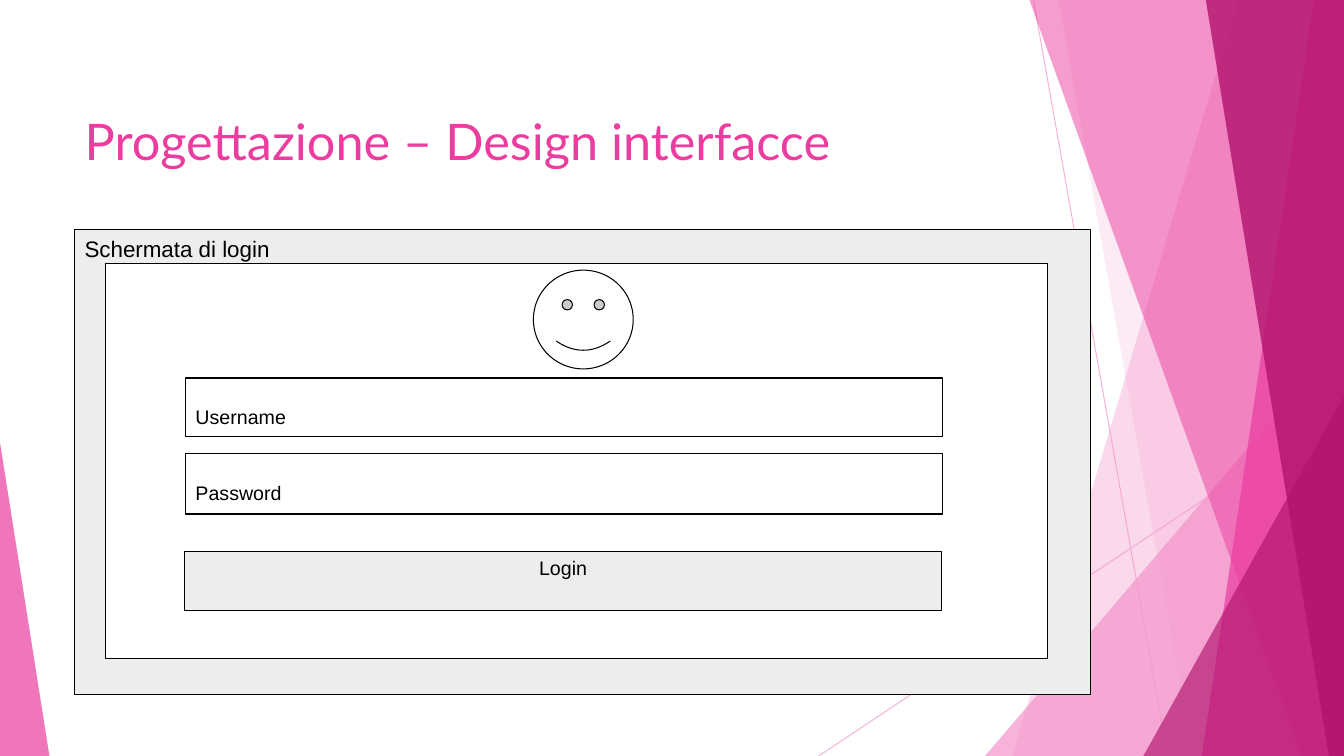
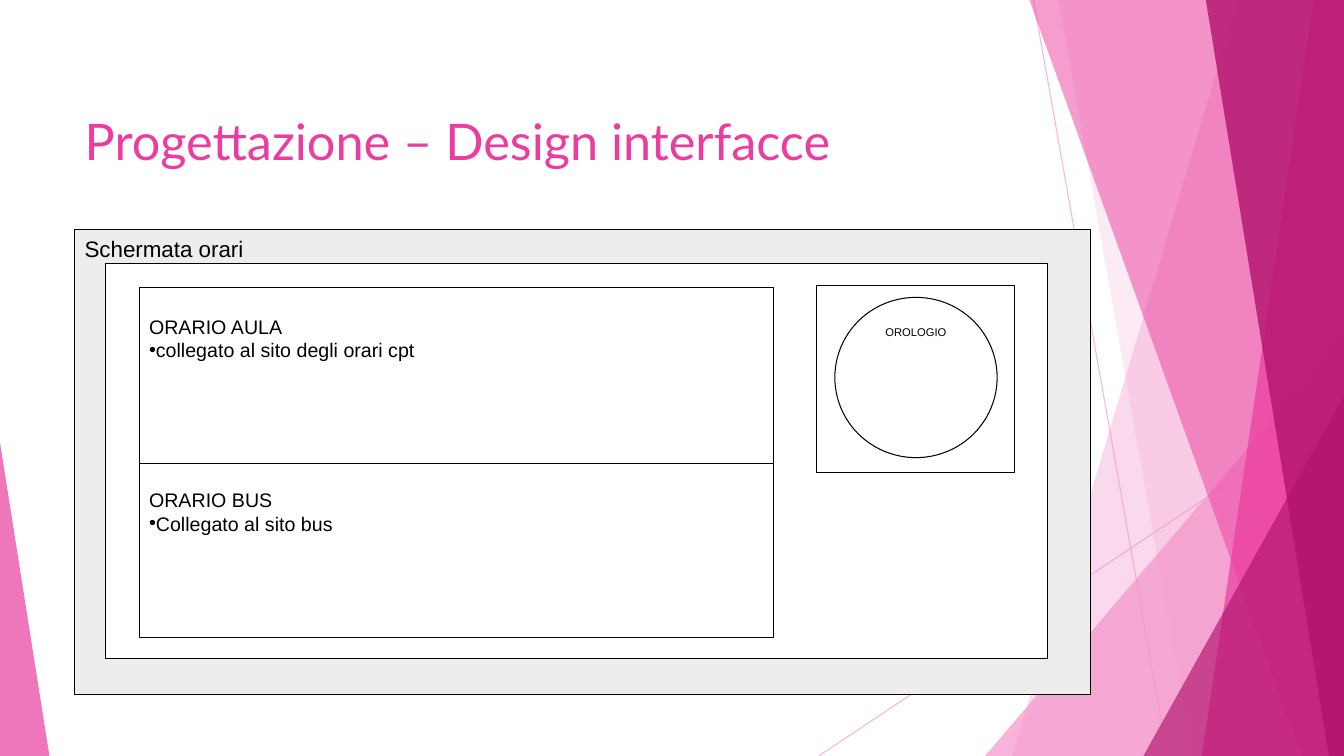
from dataclasses import dataclass

from lxml.etree import SubElement
from pptx import Presentation
from pptx.dml.color import RGBColor
from pptx.enum.shapes import MSO_CONNECTOR, MSO_SHAPE as SHAPE
from pptx.enum.text import MSO_ANCHOR as ANCHOR, MSO_AUTO_SIZE, PP_ALIGN as ALIGN
from pptx.oxml.ns import qn
from pptx.util import Inches, Pt

WIDTH, HEIGHT = 13.33, 7.5
LIGHT, PINK, DARK = "F496CB", "EB3D9F", "B2136D"
BLACK, WHITE, GREY = "000000", "FFFFFF", "EDEDED"
TITLE = "Progettazione – Design interfacce"
TOP_INSET = 0.05
LOW_INSET = 0.27


@dataclass
class Ray:
    start: tuple[float, float]
    end: tuple[float, float]


@dataclass
class Band:
    top_x: float
    bottom_x: float
    color: str
    alpha: int


@dataclass
class Wedge:
    left: float
    top: float
    width: float
    apex: float
    color: str
    alpha: int


@dataclass
class Box:
    left: float
    top: float
    width: float
    height: float
    text: str = ""
    bullet: str = ""
    size: int = 14
    fill: str = WHITE
    kind: SHAPE = SHAPE.RECTANGLE
    align: ALIGN = ALIGN.LEFT
    inset: float = TOP_INSET


RAYS = [Ray((10.25, 0), (11.58, HEIGHT)), Ray((WIDTH, 4.03), (8.12, HEIGHT))]
FACETS = [
    Band(12.28, 10.04, LIGHT, 36),
    Band(10.5, 11.83, LIGHT, 20),
    Wedge(9.77, 3.33, 3.56, 1, LIGHT, 72),
    Band(10.21, 12.91, PINK, 50),
    Band(13.03, 11.92, PINK, 70),
    Band(11.96, 13.18, DARK, 80),
    Wedge(11.34, 3.93, 1.99, 1, DARK, 66),
    Wedge(0, 4.39, 0.49, 0, PINK, 70),
]

LOGIN = [
    Box(1.84, 3.75, 7.51, 0.58, "Username", inset=LOW_INSET),
    Box(1.84, 4.5, 7.51, 0.6, "Password", inset=LOW_INSET),
    Box(1.83, 5.47, 7.51, 0.59, "Login", fill=GREY, align=ALIGN.CENTER),
    Box(5.29, 2.68, 0.99, 0.98, kind=SHAPE.SMILEY_FACE),
]
TIMETABLES = [
    Box(8.1, 2.83, 1.96, 1.86),
    Box(8.28, 2.95, 1.61, 1.59, "OROLOGIO", size=8, kind=SHAPE.OVAL,
        align=ALIGN.CENTER),
    Box(1.38, 4.57, 6.29, 1.75, "ORARIO BUS", "Collegato al sito bus",
        inset=LOW_INSET),
    Box(1.38, 2.85, 6.29, 1.75, "ORARIO AULA",
        "collegato al sito degli orari cpt", inset=LOW_INSET),
]
SCREENS = {"Schermata di login": LOGIN, "Schermata orari": TIMETABLES}


def paint(target, color: str, alpha: int = 100) -> None:
    if hasattr(target, "solid"):
        target.solid()
        target = target.fore_color
    target.rgb = RGBColor.from_string(color)
    if alpha < 100:
        clr = target._xFill.find(qn("a:srgbClr"))
        SubElement(clr, qn("a:alpha"), val=str(alpha * 1000))


def add_ray(slide, ray: Ray):
    points = [Inches(v) for v in (*ray.start, *ray.end)]
    line = slide.shapes.add_connector(MSO_CONNECTOR.STRAIGHT, *points)
    line.line.width = Pt(0.75)
    paint(line.line.fill, LIGHT, 70)
    SubElement(line._element.spPr, qn("a:effectLst"))
    return line


def add_facet(slide, facet: Band | Wedge):
    if isinstance(facet, Band):
        builder = slide.shapes.build_freeform(Inches(facet.top_x), 0)
        corners = [(WIDTH, 0), (WIDTH, HEIGHT), (facet.bottom_x, HEIGHT)]
        builder.add_line_segments([(Inches(x), Inches(y)) for x, y in corners])
        sp = builder.convert_to_shape()
    else:
        sp = slide.shapes.add_shape(
            SHAPE.ISOSCELES_TRIANGLE, Inches(facet.left), Inches(facet.top),
            Inches(facet.width), Inches(HEIGHT - facet.top))
        sp.adjustments[0] = facet.apex
    sp.shadow.inherit = False
    sp.line.fill.background()
    paint(sp.fill, facet.color, facet.alpha)
    return sp


def add_run(p, text: str, size: int, font: str, color: str) -> None:
    r = p.add_run()
    r.text = text
    r.font.size = Pt(size)
    r.font.name = font
    paint(r.font.color, color)


def add_box(slide, box: Box) -> None:
    place = [Inches(v) for v in (box.left, box.top, box.width, box.height)]
    sp = slide.shapes.add_shape(box.kind, *place)
    sp.shadow.inherit = False
    paint(sp.fill, box.fill)
    paint(sp.line.fill, BLACK)
    sp.line.width = Pt(0.75)
    tf = sp.text_frame
    tf.word_wrap = True
    tf.vertical_anchor = ANCHOR.TOP
    tf.margin_top = Inches(box.inset)
    p = tf.paragraphs[0]
    p.alignment = box.align
    if box.text:
        add_run(p, box.text, box.size, "Arial", BLACK)
    if box.bullet:
        p = tf.add_paragraph()
        p.alignment = box.align
        pPr = p._p.get_or_add_pPr()
        SubElement(pPr, qn("a:buFont"), typeface="Arial")
        SubElement(pPr, qn("a:buChar"), char="•")
        add_run(p, box.bullet, box.size, "Arial", BLACK)


def add_title(slide, text: str) -> None:
    sp = slide.shapes.title
    sp.left, sp.top = Inches(0.74), Inches(0.67)
    sp.width, sp.height = Inches(9.4), Inches(1.44)
    tf = sp.text_frame
    tf.auto_size = MSO_AUTO_SIZE.NONE
    tf.word_wrap = True
    tf.vertical_anchor = ANCHOR.MIDDLE
    p = tf.paragraphs[0]
    p.alignment = ALIGN.LEFT
    add_run(p, text, 36, "Lato", PINK)


def decorate_layout(layout, slide) -> None:
    for ph in list(layout.placeholders)[1:]:
        layout.shapes.element.remove(ph.element)
    decor = [add_ray(slide, ray) for ray in RAYS]
    decor += [add_facet(slide, facet) for facet in FACETS]
    for sp in decor:
        layout.shapes.element.append(sp._element)


def build() -> None:
    prs = Presentation()
    prs.slide_width, prs.slide_height = Inches(WIDTH), Inches(HEIGHT)
    layout = prs.slide_layouts[5]
    slides = [prs.slides.add_slide(layout) for _ in SCREENS]
    decorate_layout(layout, slides[0])
    for slide, (name, boxes) in zip(slides, SCREENS.items()):
        add_title(slide, TITLE)
        window = Box(0.74, 2.28, 10.08, 4.61, name, size=16, fill=GREY)
        page = Box(1.05, 2.61, 9.34, 3.92)
        for box in (window, page, *boxes):
            add_box(slide, box)
    prs.save("out.pptx")


build()
